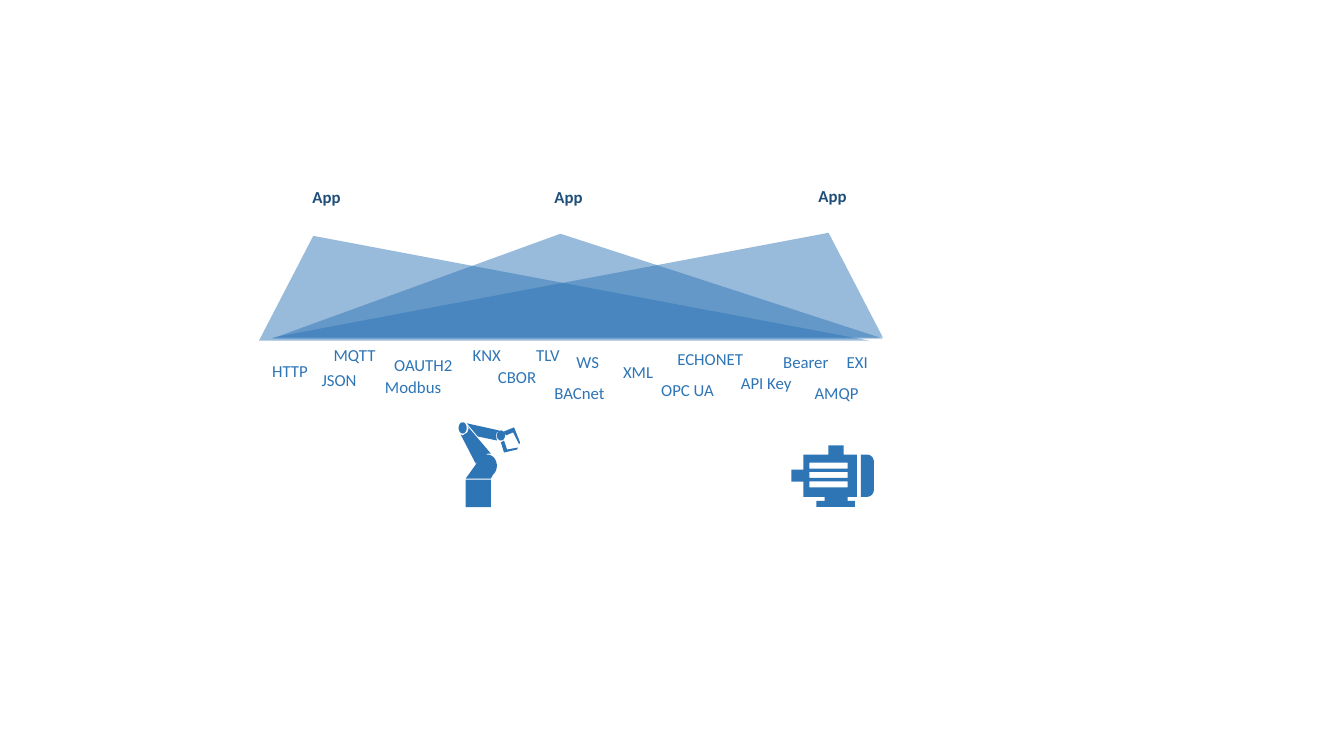
from math import cos, radians, sin

from pptx import Presentation
from pptx.dml.color import RGBColor
from pptx.enum.shapes import MSO_SHAPE as SHAPE
from pptx.enum.text import MSO_AUTO_SIZE as FIT, PP_ALIGN as ALIGN
from pptx.oxml.ns import qn
from pptx.util import Pt
from lxml.etree import SubElement

BLUE, NAVY = "2E75B6", "1F4E79"
FONT = "Calibri"

# Reach of each app over the protocols: left, top, place of the tip
FANS = [(185, 168.5, 0.089), (194.4, 167, 0.472), (194.4, 166.3, 0.911)]
FAN_W, FAN_H = 436.3, 74.9

# Labels: text, left, top
APPS = [("App", 223.2, 131.8), ("App", 396, 131.8), ("App", 584.6, 131)]
PROTOCOLS = [
    ("HTTP", 194.4, 256.3), ("MQTT", 238.3, 244.8), ("Modbus", 275, 267.8),
    ("WS", 411.8, 249.8), ("AMQP", 581.8, 272.2), ("OPC UA", 472.3, 270),
    ("KNX", 337.7, 244.8), ("BACnet", 396, 272.2), ("ECHONET", 483.8, 247.7),
    ("JSON", 229.7, 262.8), ("XML", 445, 257), ("EXI", 604.8, 249.8),
    ("CBOR", 355.7, 260.6), ("OAUTH2", 281.5, 252), ("API Key", 529.2, 265),
    ("Bearer", 559.4, 249.8), ("TLV", 383, 244.8),
]


def rgb(color):
    return RGBColor.from_string(color)


def paint(sp, color, alpha=None):
    """Plain fill without line or shadow; alpha in percent."""
    sp.shadow.inherit = False
    sp.fill.solid()
    sp.fill.fore_color.rgb = rgb(color)
    sp.line.fill.background()
    if alpha is not None:
        clr = sp._element.spPr.find(qn("a:solidFill"))[0]
        SubElement(clr, qn("a:alpha")).set("val", str(alpha * 1000))


def add_fan(s, x, y, tip):
    sp = s.shapes.add_shape(SHAPE.ISOSCELES_TRIANGLE,
                            Pt(x), Pt(y), Pt(FAN_W), Pt(FAN_H))
    sp.adjustments[0] = tip
    paint(sp, BLUE, alpha=49)


def add_label(s, text, x, y, w=32.4, h=17.3, size=12, color=BLUE, bold=False):
    tf = s.shapes.add_textbox(Pt(x), Pt(y), Pt(w), Pt(h)).text_frame
    tf.margin_left = tf.margin_right = tf.margin_top = tf.margin_bottom = 0
    tf.word_wrap = False
    tf.auto_size = FIT.NONE
    p = tf.paragraphs[0]
    p.alignment = ALIGN.LEFT
    p.line_spacing = 1.1
    r = p.add_run()
    r.text = text
    r.font.name, r.font.size, r.font.bold = FONT, Pt(size), bold
    r.font.color.rgb = rgb(color)


def box(x1, y1, x2, y2):
    return [(x1, y1), (x2, y1), (x2, y2), (x1, y2)]


def arc(cx, cy, rx, ry, start=0, end=360, steps=24):
    angles = [radians(start + (end - start) * i / steps)
              for i in range(steps + 1)]
    return [(cx + rx * cos(a), cy + ry * sin(a)) for a in angles]


def add_icon(s, x, y, outlines):
    """One freeform from several closed outlines, measured from x, y."""
    contours = [[(Pt(px), Pt(py)) for px, py in line] for line in outlines]
    first, *others = contours
    fb = s.shapes.build_freeform(*first[0], scale=1.0)
    fb.add_line_segments(first[1:], close=True)
    for contour in others:
        fb.move_to(*contour[0])
        fb.add_line_segments(contour[1:], close=True)
    paint(fb.convert_to_shape(Pt(x), Pt(y)), BLUE)


def add_robot(s, x, y):
    upper_jaw = [(43.9, 14.4), (43.2, 15.8), (38.9, 7.2), (33.8, 9.4),
                 (32.4, 6.5), (39.6, 3.6)]
    lower_jaw = [(30.2, 14.4), (32.4, 13), (34.6, 19.4), (42.5, 18),
                 (41.8, 19.4), (32.4, 21.6)]
    base = box(5, 41, 23, 60.5)
    joints = [arc(2.9, 4, 2.9, 4), arc(30.2, 9.4, 2.9, 3.6)]
    lower_arm = [(23, 40.3), (5, 40.3)] + arc(20.5, 31, 6.8, 8, 220, 414)
    middle_arm = [(20.9, 22.3), (16.6, 24.5), (12.2, 29.5), (1.4, 8.6),
                  (2.9, 9.4), (6.2, 7.2), (7.2, 4.3), (6.5, 2.9), (23, 22.3)]
    forearm = [(26.6, 9.4), (27.4, 13), (13.7, 10.1), (5.8, 0.7),
               (28.8, 5.8), (27.3, 7.2)]
    add_icon(s, x, y, [upper_jaw, lower_jaw, base, *joints,
                       lower_arm, middle_arm, forearm])


def add_motor(s, x, y):
    body = [(37.4, 0), (26.6, 0), (26.6, 6.5), (8.6, 6.5), (8.6, 17.3),
            (0, 17.3), (0, 25.9), (8.6, 25.9), (8.6, 36.7), (23.8, 36.7),
            (23.8, 39.6), (18, 39.6), (18, 43.9), (45.4, 43.9), (45.4, 39.6),
            (40.3, 39.6), (40.3, 36.7), (46.8, 36.7), (46.8, 6.5), (37.4, 6.5)]
    slots = [box(13, top, 40.3, top + 4.3) for top in (12.2, 18.9, 25.6)]
    cap = ([(49.7, 36.7), (49.7, 6.5)] + arc(54, 11.5, 5, 5, -90, 0, 8)
           + arc(54, 31.7, 5, 5, 0, 90, 8))
    add_icon(s, x, y, [body, *slots, cap])


def main():
    prs = Presentation()
    prs.slide_width, prs.slide_height = Pt(960), Pt(540)
    s = prs.slides.add_slide(prs.slide_layouts[6])

    # Overlapping reach of the apps
    for fan in FANS:
        add_fan(s, *fan)

    # Apps above, protocols below
    for app in APPS:
        add_label(s, *app, w=40, h=36, color=NAVY, bold=True)
    for text, x, y in PROTOCOLS:
        wide = text in ("OPC UA", "KNX", "TLV")
        add_label(s, text, x, y, w=45.4 if wide else 32.4)

    # Devices
    add_robot(s, 327.6, 301.7)
    add_motor(s, 565.2, 318.2)

    prs.save("out.pptx")


if __name__ == "__main__":
    main()
